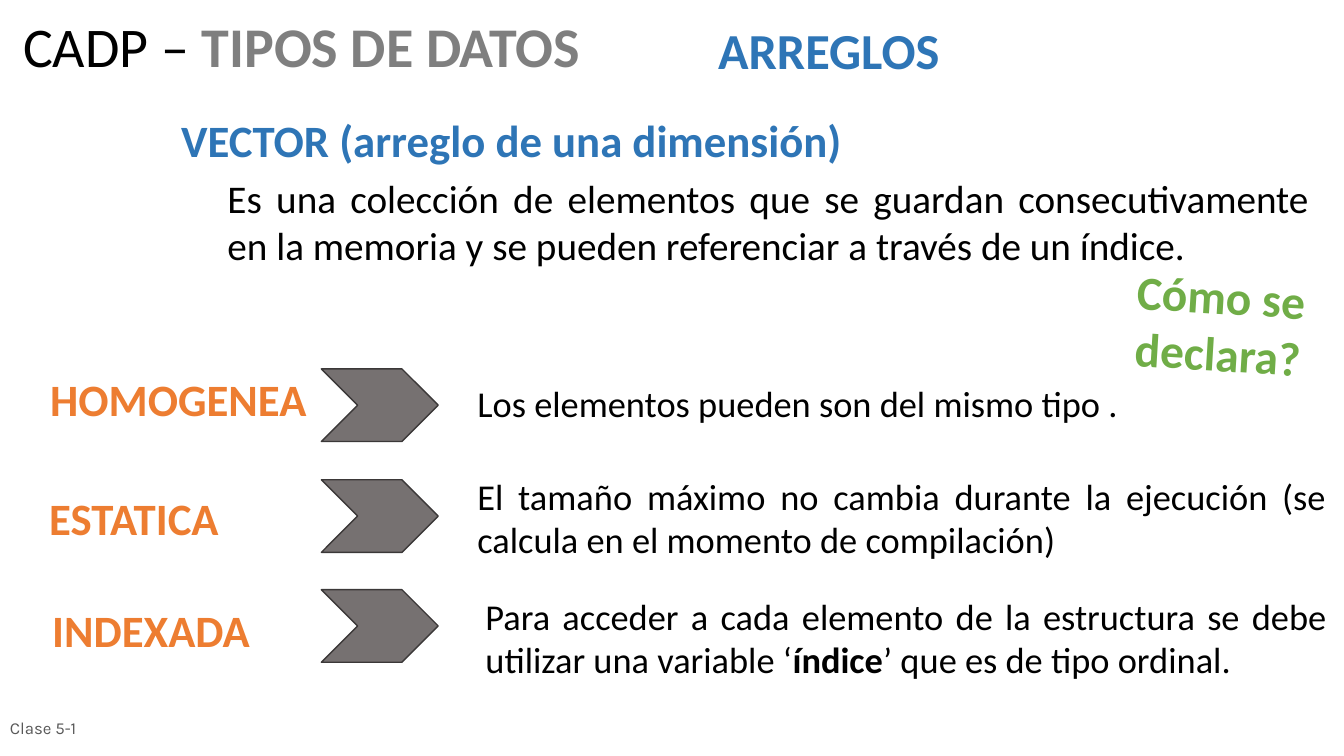
from pptx import Presentation
from pptx.dml.color import RGBColor
from pptx.enum.shapes import MSO_SHAPE
from pptx.enum.text import MSO_ANCHOR, MSO_AUTO_SIZE, PP_ALIGN
from pptx.util import Pt

PX = 9144
CHEVRON = MSO_SHAPE.CHEVRON
TOP, MIDDLE = MSO_ANCHOR.TOP, MSO_ANCHOR.MIDDLE
LEFT, CENTER, JUSTIFY = PP_ALIGN.LEFT, PP_ALIGN.CENTER, PP_ALIGN.JUSTIFY
NO_FIT = MSO_AUTO_SIZE.NONE

BLACK, GRAY, BLUE = "000000", "7F7F7F", "2E75B6"
ORANGE, GREEN, FOOTER_GRAY = "ED7D31", "70AD47", "595959"
ARROW_FILL, ARROW_LINE = "767171", "3B3838"

PROPERTIES = [
    ("HOMOGENEA", (40, 364, 280, 64), (464, 373, 849, 54),
     [("Los elementos pueden son del mismo tipo .", BLACK, False)]),
    ("ESTATICA", (39, 482, 212, 64), (464, 465, 863, 97),
     [("El tamaño máximo no cambia durante la ejecución "
       "(se calcula en el momento de compilación)", BLACK, False)]),
    ("INDEXADA", (42, 593, 218, 64), (472, 584, 856, 97),
     [("Para acceder a cada elemento de la estructura se debe "
       "utilizar una variable ‘", BLACK, False),
      ("índice", BLACK, True),
      ("’ que es de tipo ordinal.", BLACK, False)]),
]


def color(hex_code):
    """Turn a hex string into a colour."""
    return RGBColor.from_string(hex_code)


def emu(box):
    """Turn a box in px into EMU lengths."""
    return [length * PX for length in box]


def write(shape, runs, size, align=JUSTIFY, anchor=TOP, font="Calibri"):
    """Fill a shape with one paragraph of (text, colour, bold) runs."""
    frame = shape.text_frame
    frame.word_wrap = True
    frame.auto_size = NO_FIT
    frame.vertical_anchor = anchor
    paragraph = frame.paragraphs[0]
    paragraph.alignment = align
    for text, hex_code, bold in runs:
        run = paragraph.add_run()
        run.text = text
        run.font.name = font
        run.font.size = Pt(size)
        run.font.bold = bold
        run.font.color.rgb = color(hex_code)
    return paragraph


def add_label(slide, box, runs, size, **style):
    """Add a text box and return it."""
    label = slide.shapes.add_textbox(*emu(box))
    write(label, runs, size, **style)
    return label


def add_heading(slide, box):
    """Place the title and the topic beside it."""
    left, top, width, height = box
    title = slide.shapes.title
    title.left, title.top, title.width, title.height = emu((left, top, 677, height))
    heading = write(title, [("CADP – ", BLACK, False),
                            ("TIPOS DE DATOS", GRAY, True)], 40, align=LEFT)
    heading.line_spacing = 0.9
    add_label(slide, (left + 690, top, width - 690, 70),
              [("ARREGLOS", BLUE, True)], 36)


def add_definition(slide, box):
    """Place the vector heading, its definition and the question."""
    left, top, width, height = box
    add_label(slide, (left, top, 677, 64),
              [("VECTOR (arreglo de una dimensión)", BLUE, True)], 32)
    add_label(slide, (left + 46, top + 61, width - 46, 104),
              [("Es una colección de elementos que se guardan consecutivamente "
                "en la memoria y se pueden referenciar a través de un índice.",
                BLACK, False)], 28)
    question = add_label(slide, (left + 945, top + height - 124, 191, 124),
                         [("Cómo se declara?", GREEN, True)], 34, align=CENTER)
    question.rotation = 3.6


def add_properties(slide, box):
    """Place one chevron per property, with its name and explanation."""
    left, top, width, height = box
    arrow_height = 72
    pitch = (height - arrow_height) / (len(PROPERTIES) - 1)
    for row, (name, name_box, detail_box, detail) in enumerate(PROPERTIES):
        add_label(slide, name_box, [(name, ORANGE, True)], 32)
        add_label(slide, detail_box, detail, 26)
        arrow = slide.shapes.add_shape(
            CHEVRON, *emu((left, round(top + row * pitch), width, arrow_height)))
        arrow.shadow.inherit = False
        arrow.fill.solid()
        arrow.fill.fore_color.rgb = color(ARROW_FILL)
        arrow.line.color.rgb = color(ARROW_LINE)
        arrow.line.width = Pt(1)


def add_footer(slide, box):
    """Place the class number."""
    add_label(slide, box, [("Clase 5-1", FOOTER_GRAY, False)], 12,
              align=LEFT, anchor=MIDDLE, font="Karla")


def main():
    """Build and save the slide."""
    deck = Presentation()
    deck.slide_width, deck.slide_height = emu((1334, 750))
    slide = deck.slides.add_slide(deck.slide_layouts.get_by_name("Title Only"))
    add_heading(slide, (13, 14, 1131, 76))
    add_definition(slide, (170, 107, 1139, 277))
    add_properties(slide, (319, 366, 116, 291))
    add_footer(slide, (0, 702, 233, 40))
    deck.save("out.pptx")


if __name__ == "__main__":
    main()
